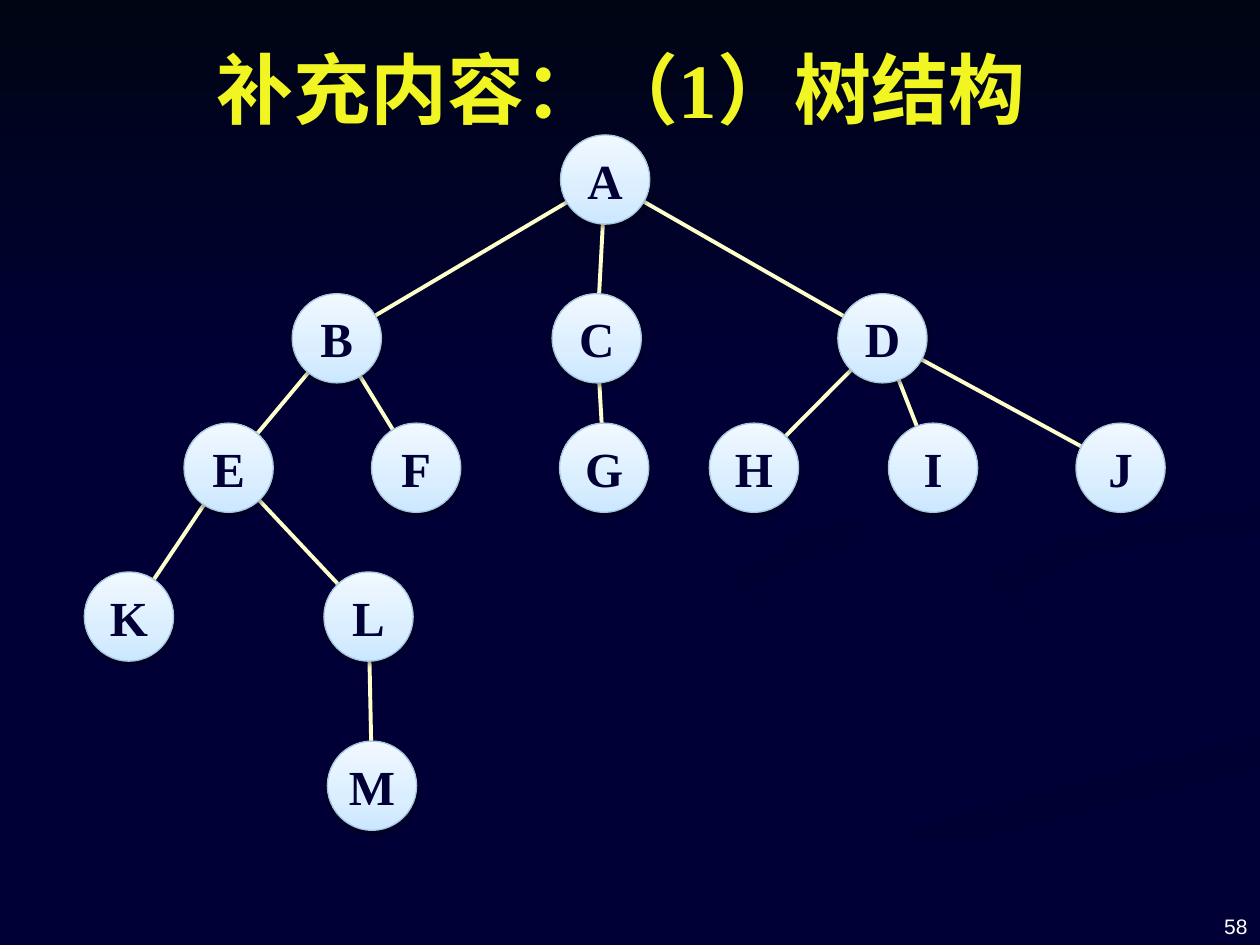
from copy import deepcopy

from lxml import etree
from pptx import Presentation
from pptx.dml.color import RGBColor
from pptx.enum.shapes import MSO_CONNECTOR, MSO_SHAPE
from pptx.enum.text import MSO_ANCHOR, PP_ALIGN
from pptx.oxml.ns import qn
from pptx.util import Cm, Pt

CIRCLE = MSO_SHAPE.FLOWCHART_CONNECTOR
BOX = MSO_SHAPE.RECTANGLE
STRAIGHT = MSO_CONNECTOR.STRAIGHT
MIDDLE, BOTTOM = MSO_ANCHOR.MIDDLE, MSO_ANCHOR.BOTTOM
CENTER, RIGHT = PP_ALIGN.CENTER, PP_ALIGN.RIGHT
NAVY = "000036"
NODE_SIZE = 1.8
NODE_FONT = {"size": Pt(28), "name": "Times New Roman", "bold": True}
TITLE_FONT = {**NODE_FONT, "size": Pt(44)}
NUMBER_FONT = {"size": Pt(12), "name": "Arial"}


def write(frame, text, color, anchor, align, font_format):
    frame.vertical_anchor = anchor
    paragraph = frame.paragraphs[0]
    paragraph.alignment = align
    run = paragraph.add_run()
    run.text = text
    run.font.color.rgb = RGBColor.from_string(color)
    for name, value in font_format.items():
        setattr(run.font, name, value)


def shade(shape, stops, angle):
    """Fill with (position, colour) stops; the angle runs counter-clockwise."""
    shape.fill.gradient()
    shape.fill.gradient_angle = angle
    stop_list = shape._element.spPr.find(".//" + qn("a:gsLst"))
    for _ in stops[2:]:
        stop_list.append(deepcopy(stop_list[-1]))
    for stop, (position, color) in zip(shape.fill.gradient_stops, stops):
        stop.position = position
        stop.color.rgb = RGBColor.from_string(color)


prs = Presentation()
prs.slide_width, prs.slide_height = Cm(25.4), Cm(19.05)
slide = prs.slides.add_slide(prs.slide_layouts[5])
shapes = slide.shapes
slide.background.fill.solid()
slide.background.fill.fore_color.rgb = RGBColor.from_string(NAVY)

# Faint background ribbons: start colour, end colour, angle, outline in cm
ribbons = [
    (NAVY, "000034", 0, [
        (19.8, 14), (15.9, 12.8), (14.6, 11.7), (14.8, 12.3), (19.4, 13.9), (19.8, 14.7),
        (13.7, 16.5), (7.6, 19), (9.2, 19), (14.3, 16.9), (19.8, 15.4), (20.3, 14.8)]),
    (NAVY, "000034", 315, [
        (23.9, 14.5), (22.6, 13.6), (19.7, 12.8), (18.4, 11.8), (19.5, 13),
        (22.9, 14.2), (23.3, 14.8), (22.7, 15.4), (23.7, 15)]),
    ("000032", NAVY, 270, [
        (12.8, 19), (14.5, 19), (18.3, 17.3), (25.4, 15.5), (25.4, 14.8), (19.4, 16.4),
        (16, 17.6)]),
    ("000033", NAVY, 315, [
        (19.8, 11.7), (21, 12.6), (20.5, 11.9), (22.3, 11.1), (25.4, 10.7), (25.4, 10.2),
        (21.6, 10.8)]),
    ("000032", NAVY, 315, [
        (17.3, 10.9), (21, 10.2), (22.7, 8.7), (21.4, 7), (19.4, 5.9), (22.1, 7.6),
        (22.1, 9.3), (16.2, 10.7), (14.7, 11.7), (15.8, 12.7), (15.1, 11.9)]),
]
for start_color, end_color, angle, outline in ribbons:
    points = [(Cm(x), Cm(y)) for x, y in outline]
    builder = shapes.build_freeform(*points[0])
    builder.add_line_segments(points[1:])
    ribbon = builder.convert_to_shape()
    ribbon.shadow.inherit = False
    ribbon.line.fill.background()
    shade(ribbon, [(0, start_color), (1, end_color)], angle)

# Dark band fading down from the top edge
sky = shapes.add_shape(BOX, 0, 0, prs.slide_width, Cm(7.82))
sky.shadow.inherit = False
sky.line.fill.background()
shade(sky, [(0, "000514"), (1, NAVY)], 270)

# Title, brought in front of the background
title = shapes.title
shapes._spTree.append(title._element)
title.left, title.top, title.width, title.height = Cm(1.09), Cm(0.41), Cm(22.86), Cm(2.72)
write(title.text_frame, "补充内容：（1）树结构", "F1F622", MIDDLE, CENTER, TITLE_FONT)

# Page number
page_number = shapes.add_textbox(Cm(19.48), Cm(17.73), Cm(5.92), Cm(1.32))
page_number.text_frame.word_wrap = True
write(page_number.text_frame, "58", "FFFFFF", BOTTOM, RIGHT, NUMBER_FONT)

# Tree levels: top, then the left of each node
levels = [
    (2.72, {"A": 11.3}),
    (5.92, {"B": 5.89, "C": 11.13, "D": 16.89}),
    (8.53, {"E": 3.71, "F": 7.49, "G": 11.28, "H": 14.3, "I": 17.91, "J": 21.69}),
    (11.53, {"K": 1.7, "L": 6.53}),
    (14.94, {"M": 6.6}),
]
corners = {letter: (left, top) for top, row in levels for letter, left in row.items()}
children = {"A": "BCD", "B": "EF", "C": "G", "D": "HIJ", "E": "KL", "L": "M"}

# Branches run between node centres, beneath the nodes
for parent, offspring in children.items():
    for child in offspring:
        ends = [Cm(edge + NODE_SIZE / 2) for edge in corners[parent] + corners[child]]
        branch = shapes.add_connector(STRAIGHT, *ends)
        branch.line.color.rgb = RGBColor.from_string("FFFFCC")
        branch.line.width = Pt(2.25)
        etree.SubElement(branch._element.spPr, qn("a:effectLst"))

# Nodes with a soft shadow
for letter, (left, top) in corners.items():
    node = shapes.add_shape(CIRCLE, Cm(left), Cm(top), Cm(NODE_SIZE), Cm(NODE_SIZE))
    shade(node, [(0, "CCE8FF"), (0.35, "DAEEFF"), (1, "F1F8FF")], 90)
    node.line.color.rgb = RGBColor.from_string("A5C6DE")
    node.line.width = Pt(0.75)
    node.shadow.inherit = False
    effects = node._element.spPr.find(qn("a:effectLst"))
    shadow = etree.SubElement(effects, qn("a:outerShdw"), blurRad=str(Pt(3.1)),
                              dist=str(Pt(1.6)), dir="5400000", rotWithShape="0")
    shadow_color = etree.SubElement(shadow, qn("a:srgbClr"), val="000000")
    etree.SubElement(shadow_color, qn("a:alpha"), val="38000")
    node.text_frame.word_wrap = False
    write(node.text_frame, letter, NAVY, MIDDLE, CENTER, NODE_FONT)

prs.save("out.pptx")
